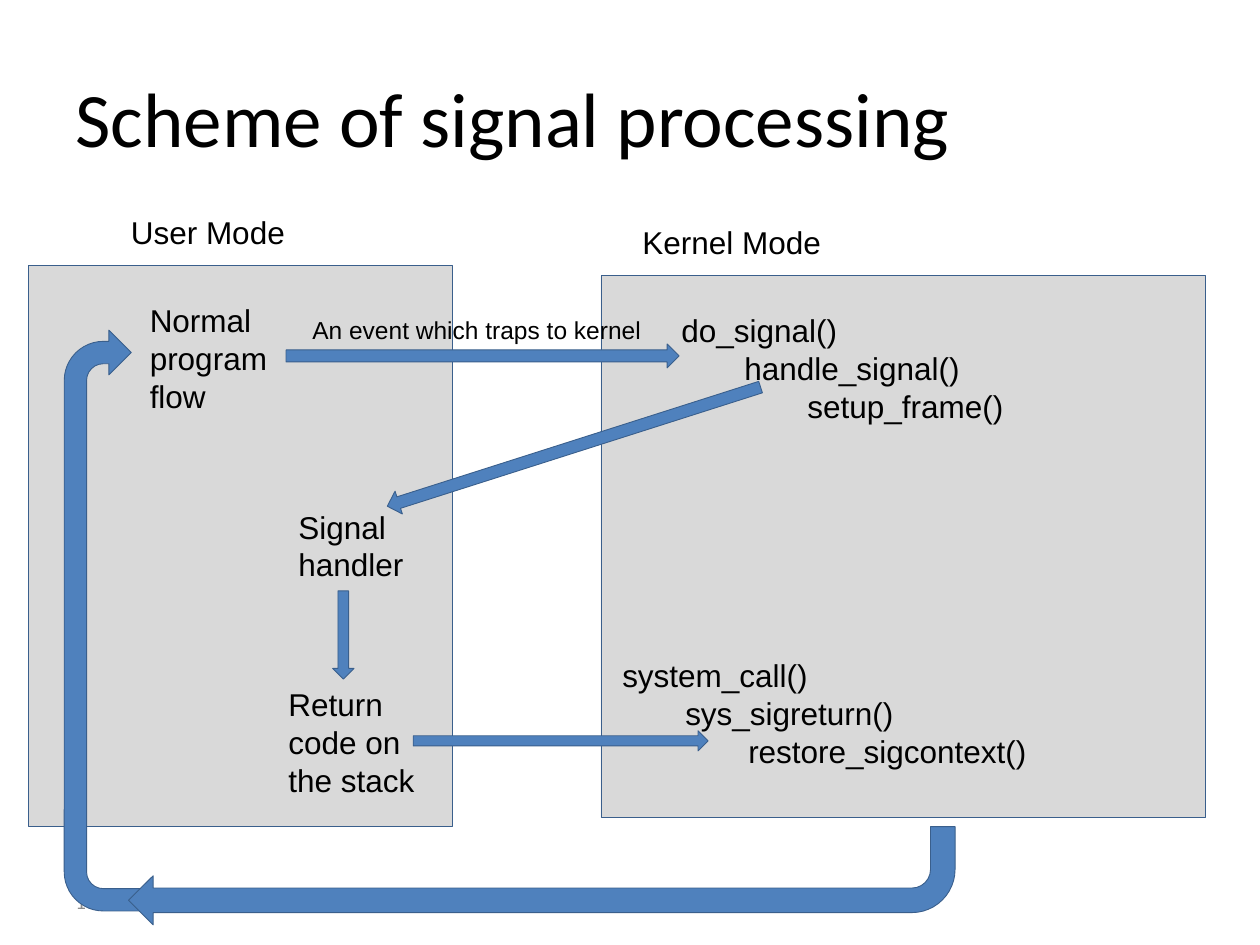
from dataclasses import dataclass

from pptx import Presentation
from pptx import util as u
from pptx.dml import color
from pptx.enum import shapes, text

SHAPE = shapes.MSO_SHAPE


@dataclass(frozen=True)
class Theme:
    ink: str = "000000"
    muted: str = "8C8C8C"
    panel: str = "D9D9D9"
    arrow: str = "4F81BD"
    outline: str = "3A5F8C"
    heading_font: str = "Calibri"
    body_font: str = "Arial"
    title_size: int = 44
    body_size: int = 18
    note_size: int = 14
    number_size: int = 12
    line_width: float = 0.5


THEME = Theme()


def rgb(value):
    return color.RGBColor.from_string(value)


def place(box, left, top, width, height):
    box.left, box.top = u.Inches(left), u.Inches(top)
    box.width, box.height = u.Inches(width), u.Inches(height)


def write(frame, lines, size=THEME.body_size, font=THEME.body_font,
          ink=THEME.ink, anchor=text.MSO_ANCHOR.TOP):
    """Fill a text frame with one paragraph per line."""
    frame.word_wrap = True
    frame.vertical_anchor = anchor
    for index, line in enumerate(lines):
        para = frame.add_paragraph() if index else frame.paragraphs[0]
        para.alignment = text.PP_ALIGN.LEFT
        span = para.add_run()
        span.text = line
        span.font.size = u.Pt(size)
        span.font.name = font
        span.font.color.rgb = rgb(ink)


def add_label(page, at, *lines, **style):
    box = page.shapes.add_textbox(*map(u.Inches, at))
    write(box.text_frame, lines, **style)


def add_block(page, kind, at, fill=THEME.arrow, rotation=0, adjust=()):
    """Add an outlined preset shape: a mode panel or a block arrow."""
    block = page.shapes.add_shape(kind, *map(u.Inches, at))
    block.shadow.inherit = False
    block.fill.solid()
    block.fill.fore_color.rgb = rgb(fill)
    block.line.color.rgb = rgb(THEME.outline)
    block.line.width = u.Pt(THEME.line_width)
    block.rotation = rotation
    for index, value in enumerate(adjust):
        block.adjustments[index] = value


def add_calls(page, at, *names):
    """List nested calls, each one tab stop deeper than its caller."""
    add_label(page, at, *("\t" * depth + name for depth, name in enumerate(names)))


def main():
    deck = Presentation()
    deck.slide_width, deck.slide_height = u.Inches(10), u.Inches(7.5)
    page = deck.slides.add_slide(deck.slide_layouts[5])

    # Title and page number
    title = page.shapes.title
    place(title, 0.5, 0.3, 9, 1.25)
    write(title.text_frame, ["Scheme of signal processing"],
          size=THEME.title_size, font=THEME.heading_font,
          anchor=text.MSO_ANCHOR.MIDDLE)
    add_label(page, (0.5, 6.95, 2.33, 0.4), "10", size=THEME.number_size,
              font=THEME.heading_font, ink=THEME.muted,
              anchor=text.MSO_ANCHOR.MIDDLE)

    # Mode panels
    for at in ((0.23, 2.11, 3.36, 4.45), (4.77, 2.19, 4.8, 4.3)):
        add_block(page, SHAPE.RECTANGLE, at, fill=THEME.panel)
    add_label(page, (0.94, 1.64, 2.73, 0.4), "User Mode")
    add_label(page, (5, 1.72, 3.98, 0.4), "Kernel Mode")

    # User mode steps
    add_label(page, (1.09, 2.34, 1.48, 1.01), "Normal program flow")
    add_label(page, (2.27, 3.98, 1.48, 0.71), "Signal handler")
    add_label(page, (2.19, 5.39, 1.41, 1.01), "Return code on the stack")

    # Kernel mode calls
    add_calls(page, (5.31, 2.42, 4.06, 1.01),
              "do_signal()", "handle_signal()", "setup_frame()")
    add_calls(page, (4.84, 5.16, 4.61, 1.01),
              "system_call()", "sys_sigreturn()", "restore_sigcontext()")

    # Arrows between the steps
    add_block(page, SHAPE.RIGHT_ARROW, (2.27, 2.73, 3.12, 0.19))
    add_block(page, SHAPE.RIGHT_ARROW, (3, 3.45, 3.11, 0.19), rotation=162.3)
    add_block(page, SHAPE.DOWN_ARROW, (2.64, 4.69, 0.17, 0.7))
    add_block(page, SHAPE.RIGHT_ARROW, (3.28, 5.8, 2.34, 0.16))

    # Return path to the normal flow
    add_block(page, SHAPE.U_TURN_ARROW, (-1.44, 4.57, 4.61, 0.71), rotation=270)
    add_block(page, SHAPE.BENT_ARROW, (1.02, 6.56, 6.56, 0.78), rotation=180,
              adjust=(0.25, 0.25, 0.25, 0.44))

    # Note on the trap arrow
    add_label(page, (2.38, 2.45, 2.95, 0.34), "An event which traps to kernel",
              size=THEME.note_size)

    deck.save("out.pptx")


if __name__ == "__main__":
    main()
